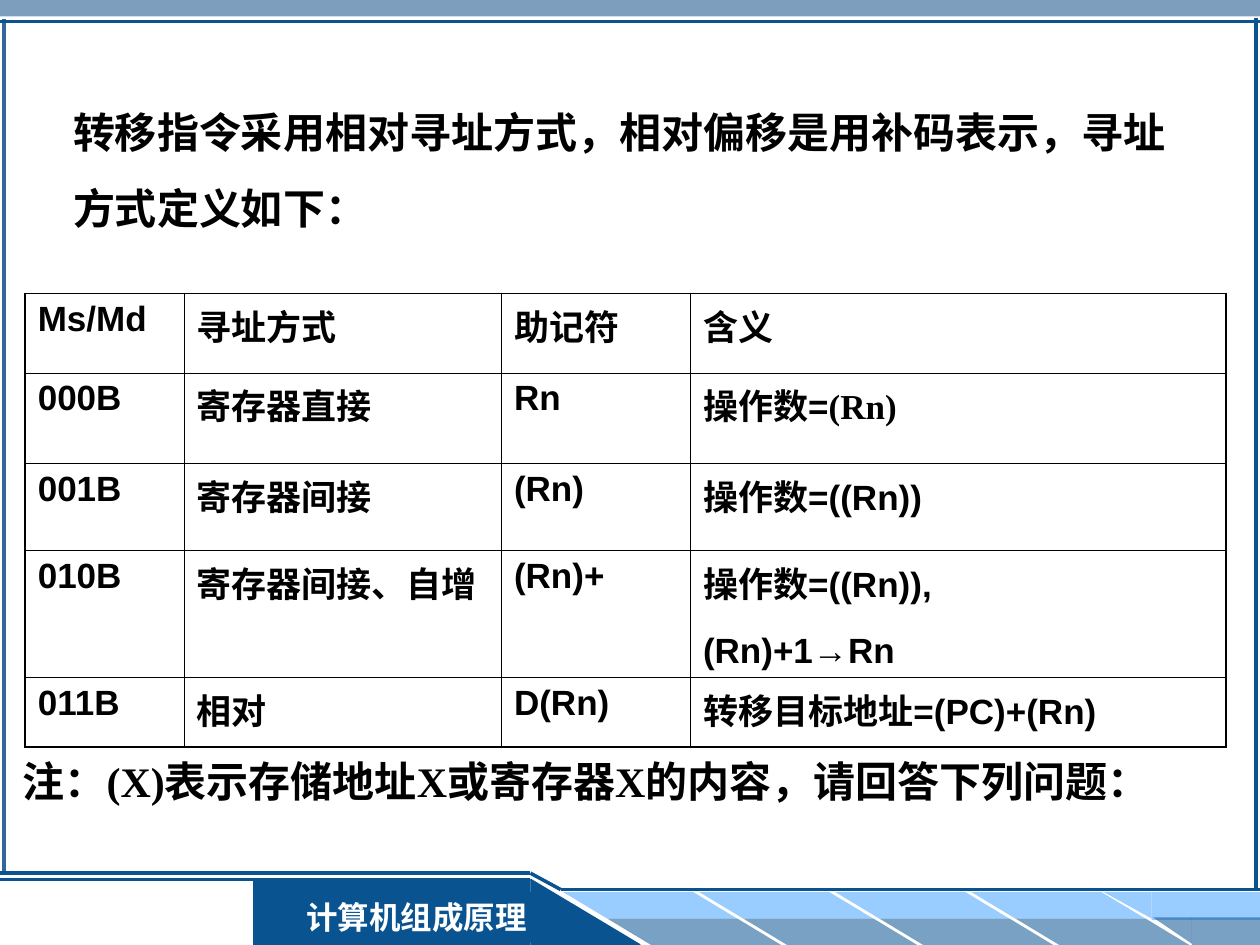
from lxml import etree
from pptx import Presentation
from pptx.dml.color import RGBColor
from pptx.enum import shapes as sh, text as tx
from pptx.oxml import ns
from pptx.util import Inches, Pt

COLORS = {"navy": "095391", "steel": "336699", "sky": "99CCFF",
          "ink": "000000", "white": "FFFFFF"}
KIND = sh.MSO_SHAPE
ROWS = [
    ["Ms/Md", "寻址方式", "助记符", "含义"],
    ["000B", "寄存器直接", "Rn", "操作数=(Rn)"],
    ["001B", "寄存器间接", "(Rn)", "操作数=((Rn))"],
    ["010B", "寄存器间接、自增", "(Rn)+", "操作数=((Rn)),\n(Rn)+1→Rn"],
    ["011B", "相对", "D(Rn)", "转移目标地址=(PC)+(Rn)"],
]
WIDTHS = [1.26, 2.52, 1.5, 4.25]
HEIGHTS = [0.63, 0.72, 0.69, 1, 0.55]


def rgb(name):
    return RGBColor.from_string(COLORS[name])


def sub(node, tag, **attrs):
    return etree.SubElement(node, ns.qn(tag), attrs)


def style(para, size, font, color="ink"):
    for run in para.runs:
        run.font.size = Pt(size)
        run.font.name = font
        run.font.bold = True
        run.font.color.rgb = rgb(color)


def block(slide, kind, x, y, w, h, color, alpha=None):
    """Add a flat, borderless shape; alpha is its opacity in percent."""
    shape = slide.shapes.add_shape(kind, Inches(x), Inches(y), Inches(w), Inches(h))
    shape.shadow.inherit = False
    shape.line.fill.background()
    shape.fill.solid()
    shape.fill.fore_color.rgb = rgb(color)
    if alpha:
        tint = shape._element.spPr.find(".//" + ns.qn("a:srgbClr"))
        sub(tint, "a:alpha", val=str(alpha * 1000))
    return shape


def rule(slide, x1, y1, x2, y2, width=2, color="navy"):
    line = slide.shapes.add_connector(
        sh.MSO_CONNECTOR.STRAIGHT, Inches(x1), Inches(y1), Inches(x2), Inches(y2))
    line.line.width = Pt(width)
    line.line.color.rgb = rgb(color)
    sub(line._element.spPr, "a:effectLst")


def frame(slide, w, h):
    block(slide, KIND.RECTANGLE, 0, 0, w, 0.13, "steel", 63)
    rule(slide, 0.03, 0.15, 0.03, h - 0.57, color="steel")
    rule(slide, 0, 0.17, w, 0.17)
    rule(slide, w - 0.03, 0.14, w - 0.03, h - 0.43)


def stripes(slide, x, y, w):
    """Draw the two-tone slanted tiles and their square right end."""
    for i in range(4):
        for dx, dy, tint in ((0, 0, ("sky",)), (0.35, 0.21, ("navy", 54))):
            tile = block(slide, KIND.PARALLELOGRAM, x + i * 1.08 + dx, y + dy,
                         1.38, 0.21, *tint)
            tile.adjustments[0] = 1.657
            tile._element.spPr.xfrm.set("flipH", "1")
    end = x + w
    for dy, wide, tip, tint in ((0, 0.86, 0.38, ("sky",)),
                                (0.2, 0.54, 0.31, ("navy", 54))):
        block(slide, KIND.RECTANGLE, end - wide, y + dy, wide, 0.22, *tint)
        wedge = block(slide, KIND.RIGHT_TRIANGLE, end - wide - tip, y + dy,
                      tip, 0.21, *tint)
        wedge.rotation = 180


def footer(slide, x, y, w, h):
    """Draw the course banner with its stripes; y is the top rule."""
    top, bend, low = y + 0.05, x + 4.21, y + 0.13
    block(slide, KIND.RECTANGLE, x + 2.01, top, 2.2, h - 0.05, "navy")
    rule(slide, x, top, bend, top, 1.5)
    rule(slide, x, y, bend, y)
    stripes(slide, x + 4.47, y + 0.15, w - 4.47)
    rule(slide, x + 4.45, low, x + w, low)
    block(slide, KIND.RIGHT_TRIANGLE, bend, top, 0.87, h - 0.05, "navy")
    rule(slide, bend, top, x + 5.08, y + h, 1)
    rule(slide, bend, y, x + 4.45, low)
    label = block(slide, KIND.RECTANGLE, x + 2.28, y + 0.15, 2.05, 0.4, "navy")
    label.text_frame.text = "计算机组成原理"
    para = label.text_frame.paragraphs[0]
    para.alignment = tx.PP_ALIGN.CENTER
    style(para, 18, "Times New Roman", "white")


def note(slide, words, x, y, w, h, inset, spacing=1.0):
    box = slide.shapes.add_textbox(Inches(x), Inches(y), Inches(w), Inches(h))
    body = box.text_frame
    body.word_wrap = True
    body.margin_left = Inches(inset)
    body.text = words
    para = body.paragraphs[0]
    para.space_before = Pt(6)
    para.line_spacing = spacing
    style(para, 24, "Times New Roman")


def border(cell, side, width):
    edge = sub(cell._tc.get_or_add_tcPr(), "a:ln" + side, w=str(Pt(width)))
    sub(sub(edge, "a:solidFill"), "a:srgbClr", val=COLORS["ink"])


def modes(slide, x, y, w, h):
    """Fill the table of addressing modes, with a heavier outer border."""
    rows, cols = len(ROWS), len(WIDTHS)
    table = slide.shapes.add_table(
        rows, cols, Inches(x), Inches(y), Inches(w), Inches(h)).table
    table.first_row = table.horz_banding = False
    for col, wide in zip(table.columns, WIDTHS):
        col.width = Inches(wide)
    for r, (row, high) in enumerate(zip(table.rows, HEIGHTS)):
        row.height = Inches(high)
        for c, cell in enumerate(row.cells):
            cell.text_frame.text = ROWS[r][c]
            for i, para in enumerate(cell.text_frame.paragraphs):
                para.space_before = Pt(14 if i else 5)
                style(para, 20, "Arial")
            outer = {"L": c == 0, "R": c == cols - 1, "T": r == 0, "B": r == rows - 1}
            for side, heavy in outer.items():
                border(cell, side, 1.08 if heavy else 0.45)
            cell.fill.background()
    para = table.cell(1, 3).text_frame.paragraphs[0]
    para.text = "操作数="
    para.add_run().text = "(Rn)"
    style(para, 20, "Arial")
    para.runs[1].font.name = "Times New Roman"


def main():
    deck = Presentation()
    deck.slide_width, deck.slide_height = Inches(10), Inches(7.5)
    slide = deck.slides.add_slide(deck.slide_layouts[6])
    frame(slide, 10, 7.5)
    footer(slide, 0, 6.93, 10, 0.57)
    modes(slide, 0.2, 2.33, sum(WIDTHS), sum(HEIGHTS))
    note(slide, "转移指令采用相对寻址方式，相对偏移是用补码表示，寻址方式定义如下：",
         0.1, 0.6, 9.53, 1.34, 0.48, 1.5)
    note(slide, "注：(X)表示存储地址X或寄存器X的内容，请回答下列问题：",
         0, 5.95, 9.73, 0.87, 0.18)
    deck.save("out.pptx")


if __name__ == "__main__":
    main()
